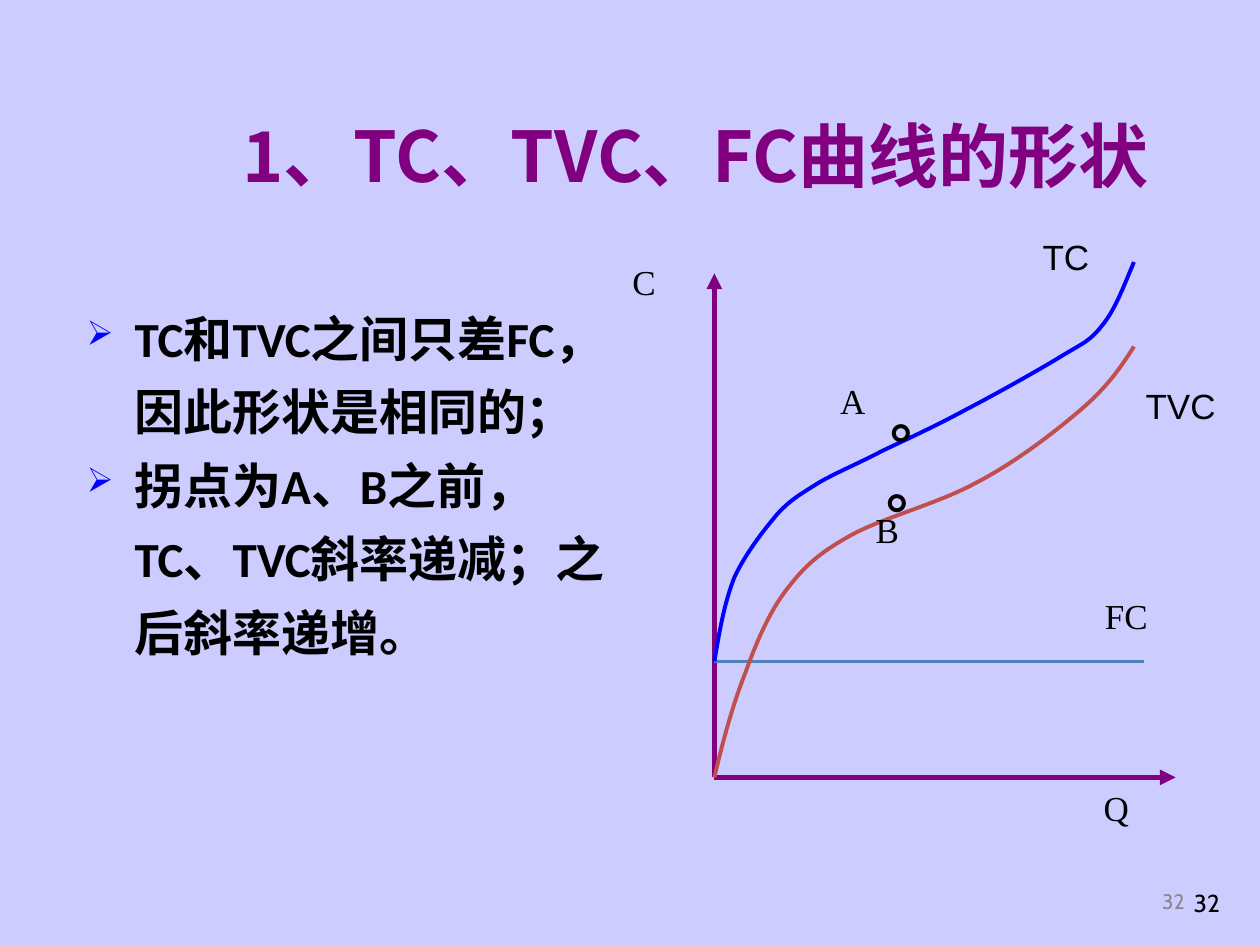
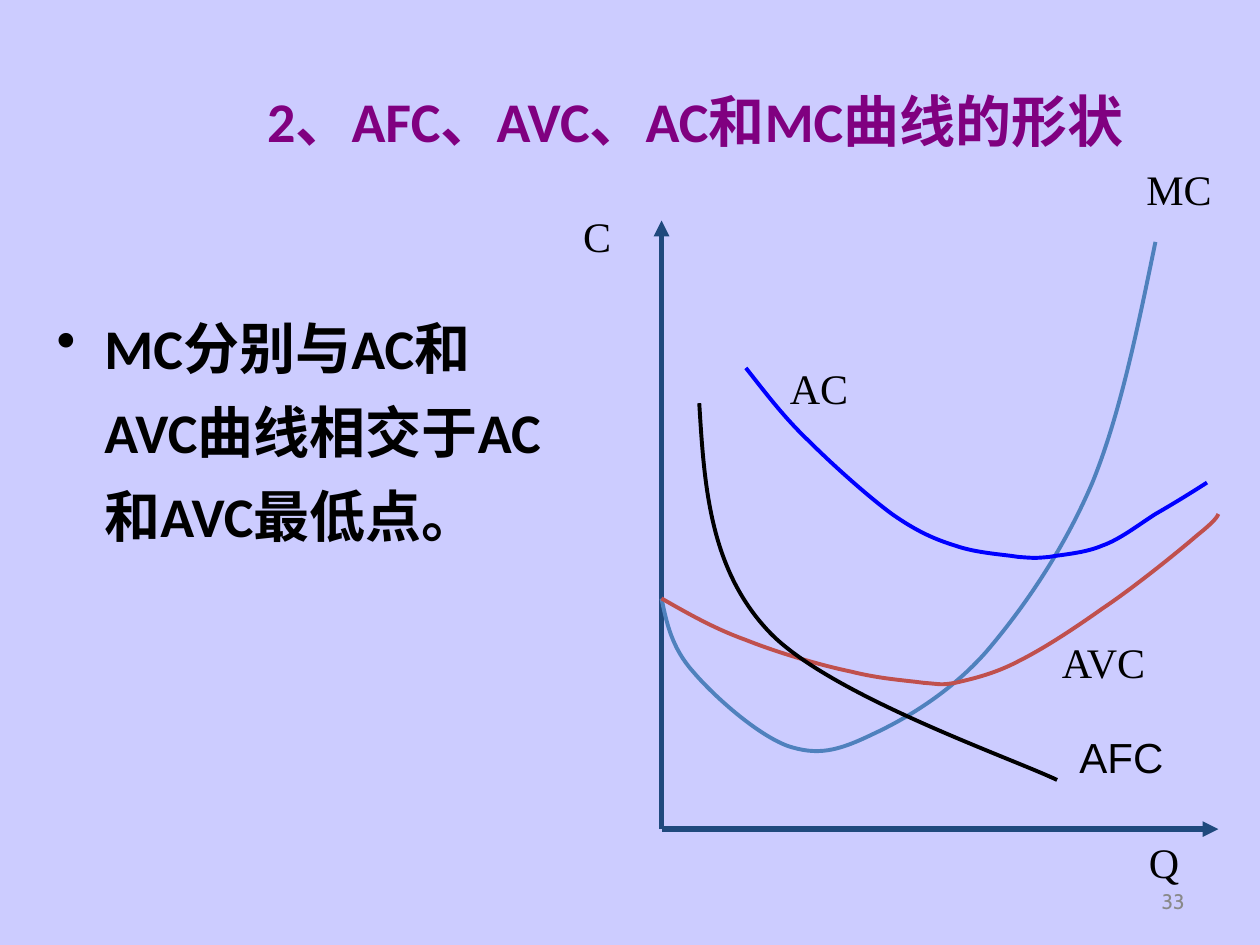
from lxml.etree import SubElement
from pptx import Presentation
from pptx.dml.color import RGBColor
from pptx.enum.shapes import MSO_CONNECTOR
from pptx.enum.text import MSO_ANCHOR as Anchor, MSO_AUTO_SIZE as AutoSize, PP_ALIGN as Align
from pptx.oxml.ns import qn
from pptx.util import Inches, Pt

LILAC, PURPLE, NAVY = "CCCCFF", "800080", "1F497D"
BLUE, RED, STEEL = "0000FF", "C0504D", "4F81BD"
BLACK, GRAY = "000000", "898989"
CJK, SERIF, SANS = "Noto Sans CJK SC", "Times New Roman", "Arial"
BODY, NUMBER = "Calibri", "Cabin"


def rgb(value):
    return RGBColor.from_string(value)


class Deck:
    """Holds the presentation, its style and the current slide."""

    def __init__(self):
        self.presentation = Presentation()
        self.presentation.slide_width = Inches(10)
        self.presentation.slide_height = Inches(7.5)
        fill = self.presentation.slide_master.background.fill
        fill.solid()
        fill.fore_color.rgb = rgb(LILAC)
        self.slide = None

    def style(self, paragraph, size, name, color=BLACK, bold=False):
        font = paragraph.font
        font.size, font.name, font.bold = Pt(size), name, bold
        font.color.rgb = rgb(color)
        SubElement(font._element, qn("a:ea"), typeface=CJK)

    def add_slide(self, title, top, height, size, name):
        layout = self.presentation.slide_layouts[5]
        self.slide = self.presentation.slides.add_slide(layout)
        shape = self.slide.shapes.title
        shape.left, shape.top = Inches(1.26), Inches(top)
        shape.width, shape.height = Inches(8.52), Inches(height)
        frame = shape.text_frame
        frame.text = title
        frame.auto_size = AutoSize.NONE
        frame.vertical_anchor = Anchor.MIDDLE
        frame.paragraphs[0].alignment = Align.CENTER
        self.style(frame.paragraphs[0], size, name, PURPLE, True)

    def frame(self, left, top, width, height, anchor=Anchor.TOP):
        box = self.slide.shapes.add_textbox(
            Inches(left), Inches(top), Inches(width), Inches(height))
        box.text_frame.word_wrap = True
        box.text_frame.vertical_anchor = anchor
        return box.text_frame

    def bullets(self, left, top, width, height, texts, size, mark, color, percent):
        frame = self.frame(left, top, width, height)
        for index, text in enumerate(texts):
            paragraph = frame.add_paragraph() if index else frame.paragraphs[0]
            paragraph.text = text
            paragraph.line_spacing = 1.25
            properties = paragraph._p.get_or_add_pPr()
            properties.set("marL", str(Inches(0.38)))
            properties.set("indent", str(-Inches(0.38)))
            bullet_color = SubElement(properties, qn("a:buClr"))
            SubElement(bullet_color, qn("a:srgbClr"), val=color)
            SubElement(properties, qn("a:buSzPct"), val=str(percent * 1000))
            SubElement(properties, qn("a:buChar"), char=mark)
            self.style(paragraph, size, BODY, bold=True)

    def label(self, text, left, top, width, size, name=SERIF, bold=False):
        frame = self.frame(left, top, width, size / 50)
        paragraph = frame.paragraphs[0]
        paragraph.text = text
        if name == SANS:
            paragraph.alignment = Align.CENTER
            paragraph.line_spacing = 0.9
        self.style(paragraph, size, name, bold=bold)

    def page_number(self, text, left, top, width, height, size, color, anchor):
        paragraph = self.frame(left, top, width, height, anchor).paragraphs[0]
        paragraph.text = text
        paragraph.alignment = Align.RIGHT
        self.style(paragraph, size, NUMBER, color)

    def footer(self, text):
        self.page_number(text, 7.17, 6.95, 2.33, 0.4, 12, GRAY, Anchor.MIDDLE)

    def line(self, start, end, color, width=2.25, arrow=False):
        connector = self.slide.shapes.add_connector(
            MSO_CONNECTOR.STRAIGHT, *map(Inches, start + end))
        connector.line.color.rgb = rgb(color)
        connector.line.width = Pt(width)
        if arrow:
            SubElement(connector.line._get_or_add_ln(), qn("a:tailEnd"), type="triangle")
        SubElement(connector._element.spPr, qn("a:effectLst"))

    def axes(self, origin, right, top, color):
        self.line(origin, (right, origin[1]), color, 3, True)
        self.line(origin, (origin[0], top), color, 3, True)

    def curve(self, color, points):
        """Draw a smooth line: a start, then two handles and an end per piece."""
        start, *rest = [(Inches(x), Inches(y)) for x, y in points]
        builder = self.slide.shapes.build_freeform(*start)
        builder.add_line_segments(rest, close=False)
        shape = builder.convert_to_shape()
        shape.shadow.inherit = False
        shape.fill.background()
        shape.line.color.rgb = rgb(color)
        shape.line.width = Pt(2.25)
        # Turn each three straight steps into one Bezier piece
        path = next(shape._element.iter(qn("a:path")))
        for index, step in enumerate(path.findall(qn("a:lnTo"))):
            if index % 3 == 0:
                piece = SubElement(path, qn("a:cubicBezTo"))
            piece.append(step[0])
            path.remove(step)


def total_cost_slide(deck):
    deck.add_slide("1、TC、TVC、FC曲线的形状", 0.84, 0.78, 40, CJK)
    deck.bullets(0.59, 2.28, 4.33, 4.35, [
        "TC和TVC之间只差FC，因此形状是相同的；",
        "拐点为A、B之前，TC、TVC斜率递减；之后斜率递增。",
    ], 28, "➢", BLUE, 70)
    deck.footer("32")
    deck.page_number("32", 7.7, 6.83, 2.08, 0.5, 14, BLACK, Anchor.BOTTOM)

    # Axes and cost curves
    deck.axes((5.67, 6.17), 9.33, 2.17, PURPLE)
    deck.line((5.67, 5.25), (9.08, 5.25), STEEL)
    total_cost = [
        (5.67, 5.25), (5.71, 5.01), (5.75, 4.78), (5.83, 4.58),
        (5.92, 4.39), (6.06, 4.21), (6.17, 4.08),
        (6.28, 3.96), (6.36, 3.92), (6.5, 3.83),
        (6.64, 3.75), (6.81, 3.68), (7, 3.58),
        (7.19, 3.49), (7.43, 3.38), (7.67, 3.25),
        (7.9, 3.13), (8.24, 2.94), (8.42, 2.83),
        (8.6, 2.72), (8.65, 2.71), (8.75, 2.58),
        (8.85, 2.46), (8.92, 2.27), (9, 2.08)]
    variable_cost = [
        (5.67, 6.17), (5.74, 5.87), (5.82, 5.58), (5.92, 5.33),
        (6.01, 5.08), (6.11, 4.85), (6.25, 4.67),
        (6.39, 4.49), (6.5, 4.39), (6.75, 4.25),
        (7, 4.11), (7.44, 4), (7.75, 3.83),
        (8.06, 3.67), (8.37, 3.43), (8.58, 3.25),
        (8.79, 3.07), (8.9, 2.91), (9, 2.75)]
    deck.curve(BLUE, total_cost)
    deck.curve(RED, variable_cost)

    # Inflection points and labels
    for left, top in ((6.94, 3.54), (6.97, 2.99)):
        deck.label("。", left, top, 0.58, 32, bold=True)
    for text, left, top, width, name in (
            ("FC", 8.67, 4.67, 0.75, SERIF), ("B", 6.85, 3.99, 0.75, SERIF),
            ("A", 6.57, 2.96, 0.75, SERIF), ("Q", 8.66, 6.19, 0.75, SERIF),
            ("C", 4.92, 2.02, 0.63, SERIF), ("TC", 7.99, 1.86, 0.94, SANS),
            ("TVC", 8.86, 3.04, 1.02, SANS)):
        deck.label(text, left, top, width, 20, name)


def average_cost_slide(deck):
    deck.add_slide("2、AFC、AVC、AC和MC曲线的形状", 0.6, 0.7, 32, BODY)
    deck.bullets(0.35, 2.31, 4.09, 3.94, [
        "MC分别与AC和AVC曲线相交于AC和AVC最低点。",
    ], 32, "•", BLACK, 100)

    # Axes and cost curves
    deck.axes((5.25, 6.58), 9.67, 1.75, NAVY)
    marginal_cost = [
        (5.25, 4.75), (5.29, 4.94), (5.33, 5.14), (5.5, 5.33),
        (5.67, 5.53), (6.01, 5.83), (6.25, 5.92),
        (6.49, 6), (6.65, 5.96), (6.92, 5.83),
        (7.18, 5.71), (7.54, 5.5), (7.83, 5.17),
        (8.12, 4.83), (8.44, 4.37), (8.67, 3.83),
        (8.89, 3.29), (9.03, 2.6), (9.17, 1.92)]
    average_variable_cost = [
        (5.25, 4.75), (5.46, 4.87), (5.67, 4.99), (5.92, 5.08),
        (6.17, 5.18), (6.51, 5.28), (6.75, 5.33),
        (6.99, 5.39), (7.19, 5.4), (7.33, 5.42),
        (7.47, 5.43), (7.46, 5.44), (7.58, 5.42),
        (7.71, 5.39), (7.89, 5.35), (8.08, 5.25),
        (8.28, 5.15), (8.51, 5), (8.75, 4.83),
        (8.99, 4.67), (9.35, 4.38), (9.5, 4.25),
        (9.65, 4.13), (9.66, 4.1), (9.67, 4.08)]
    average_cost = [
        (5.92, 2.92), (6.07, 3.11), (6.22, 3.31), (6.42, 3.5),
        (6.61, 3.69), (6.89, 3.94), (7.08, 4.08),
        (7.28, 4.22), (7.42, 4.28), (7.58, 4.33),
        (7.75, 4.39), (7.96, 4.4), (8.08, 4.42),
        (8.21, 4.43), (8.22, 4.43), (8.33, 4.42),
        (8.44, 4.4), (8.61, 4.39), (8.75, 4.33),
        (8.89, 4.28), (9.03, 4.17), (9.17, 4.08),
        (9.31, 4), (9.44, 3.92), (9.58, 3.83)]
    average_fixed_cost = [
        (5.55, 3.2), (5.59, 3.85), (5.63, 4.51), (6.1, 5.01),
        (6.57, 5.51), (8.01, 6.01), (8.39, 6.19)]
    deck.curve(STEEL, marginal_cost)
    deck.curve(RED, average_variable_cost)
    deck.curve(BLUE, average_cost)
    deck.curve(BLACK, average_fixed_cost)

    # Labels
    for text, left, top, width, name in (
            ("C", 4.53, 1.62, 0.62, SERIF), ("Q", 9.02, 6.59, 0.75, SERIF),
            ("MC", 9, 1.25, 0.92, SERIF), ("AC", 6.17, 2.83, 1.17, SERIF),
            ("AVC", 8.33, 5, 1.33, SERIF), ("AFC", 8.39, 5.8, 1.02, SANS)):
        deck.label(text, left, top, width, 24, name)
    deck.footer("33")


def main():
    deck = Deck()
    total_cost_slide(deck)
    average_cost_slide(deck)
    deck.presentation.save("out.pptx")


if __name__ == "__main__":
    main()
